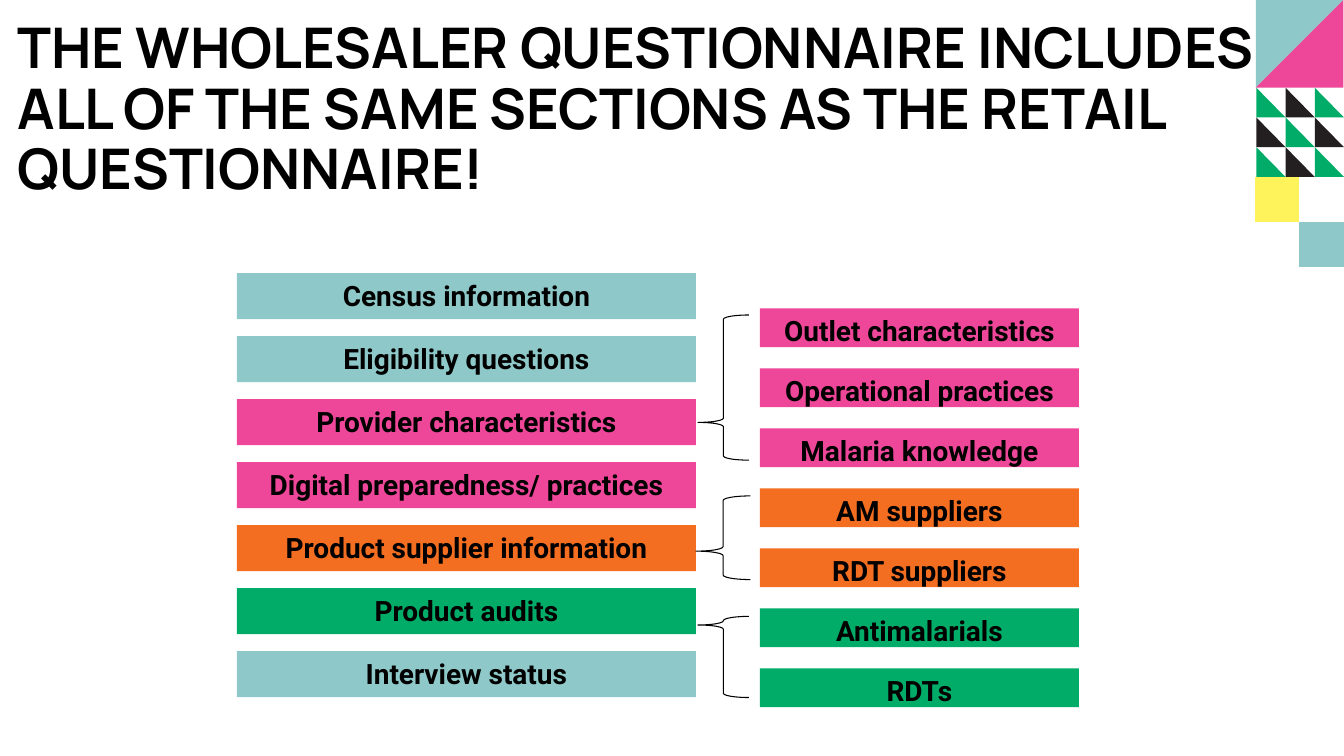
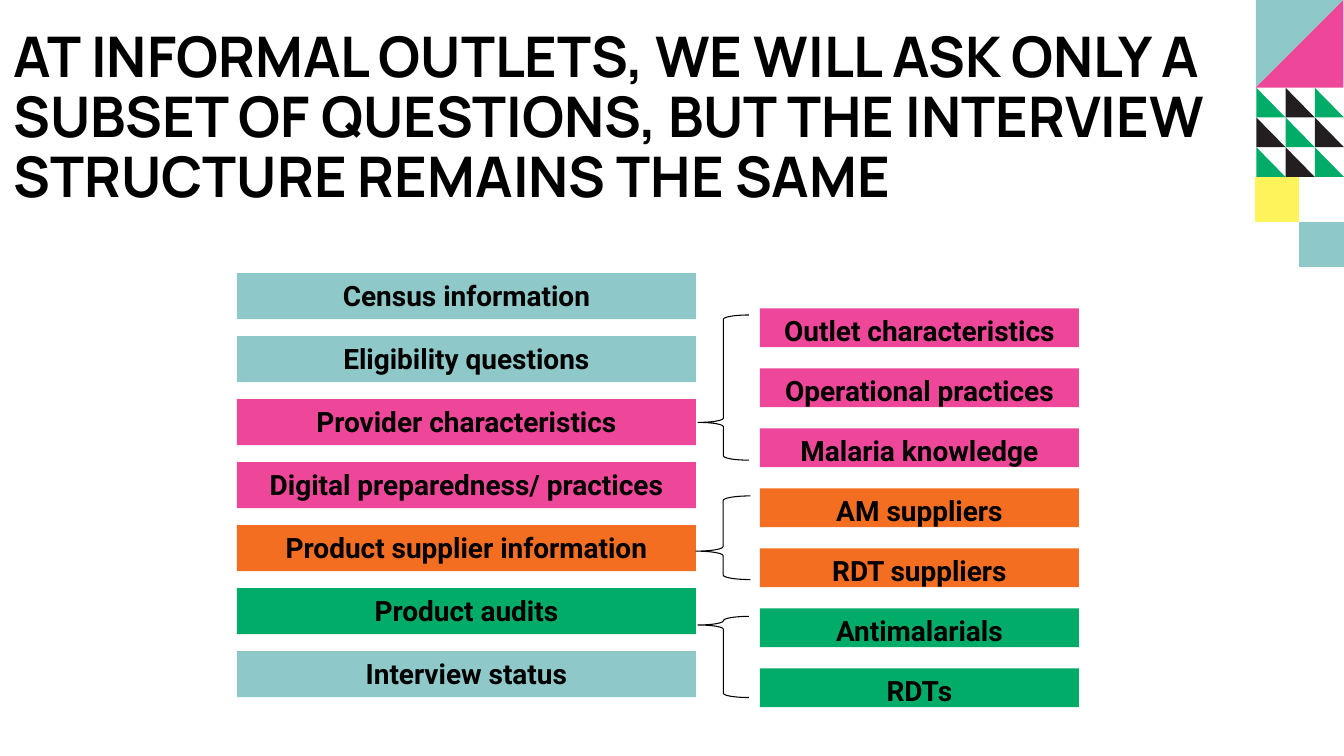
from pptx import Presentation
from pptx.dml.color import RGBColor
from pptx.enum.shapes import MSO_SHAPE as SHAPE
from pptx.enum.text import MSO_ANCHOR as ANCHOR, PP_ALIGN as ALIGN
from pptx.util import Inches, Pt

# Shared look
TEAL, PINK, ORANGE, GREEN = "8EC8C8", "EE4799", "F36E20", "00AC68"
YELLOW, DARK, BLACK = "FFF35C", "231F20", "000000"
TITLE_FONT, BODY_FONT = "Manrope", "Roboto"

# Interview structure, the same for every outlet type
SECTIONS = [
    ("Census information", TEAL),
    ("Eligibility questions", TEAL),
    ("Provider characteristics", PINK),
    ("Digital preparedness/ practices", PINK),
    ("Product supplier information", ORANGE),
    ("Product audits", GREEN),
    ("Interview status", TEAL),
]
SUBSECTIONS = [
    ("Outlet characteristics", PINK),
    ("Operational practices", PINK),
    ("Malaria knowledge", PINK),
    ("AM suppliers", ORANGE),
    ("RDT suppliers", ORANGE),
    ("Antimalarials", GREEN),
    ("RDTs", GREEN),
]
# left, top, width, height, position of the point
BRACES = [
    (13.85, 6.25, 1.01, 2.88, 0.74),
    (13.81, 9.84, 1.08, 1.66, 0.66),
    (13.85, 12.23, 1.01, 1.61, 0.106),
]
# Title text with its left, width and height
TITLES = [
    ("THE WHOLESALER QUESTIONNAIRE INCLUDES ALL OF THE SAME SECTIONS "
     "AS THE RETAIL QUESTIONNAIRE!", 0.25, 24.75, 4.96),
    ("AT INFORMAL OUTLETS, WE WILL ASK ONLY A SUBSET OF QUESTIONS, "
     "BUT THE INTERVIEW STRUCTURE REMAINS THE SAME", 0.17, 23.92, 5.12),
]


def rgb(color):
    return RGBColor.from_string(color)


def paint(sp, color):
    sp.shadow.inherit = False
    sp.fill.solid()
    sp.fill.fore_color.rgb = rgb(color)
    sp.line.fill.background()


def style(p, font, size):
    p.font.name = font
    p.font.size = Pt(size)
    p.font.bold = True
    p.font.color.rgb = rgb(BLACK)


def add_polygon(s, points, color):
    start, *rest = [(Inches(x), Inches(y)) for x, y in points]
    builder = s.shapes.build_freeform(*start)
    builder.add_line_segments(rest, close=True)
    paint(builder.convert_to_shape(), color)


def add_square(s, left, top, right, bottom, color):
    corners = [(left, bottom), (right, bottom), (right, top), (left, top)]
    add_polygon(s, corners, color)


def add_corner_pattern(s):
    # Two large triangles
    left, right, bottom = 24.92, 26.66, 1.74
    add_polygon(s, [(left, 0), (left, bottom), (right, 0)], TEAL)
    add_polygon(s, [(left, bottom), (right, bottom), (right, 0)], PINK)
    # Three by three small triangles in alternating colours
    for row in range(3):
        for col in range(3):
            x, y = 24.93 + 0.58 * col, 1.74 + 0.59 * row
            color = DARK if (row + col) % 2 else GREEN
            add_polygon(s, [(x, y + 0.59), (x + 0.58, y + 0.59), (x, y)], color)
    # Stepped squares
    add_square(s, 24.9, 3.51, 25.78, 4.41, YELLOW)
    add_square(s, 25.78, 4.41, 26.67, 5.3, TEAL)


def add_title(s, text, left, width, height):
    sp = s.shapes.add_textbox(Inches(left), Inches(0.33), Inches(width), Inches(height))
    tf = sp.text_frame
    tf.word_wrap = True
    tf.vertical_anchor = ANCHOR.BOTTOM
    tf.margin_bottom = Inches(1.3)
    p = tf.paragraphs[0]
    p.text = text
    p.line_spacing = Pt(86.4)
    style(p, TITLE_FONT, 80)


def add_column(s, items, left, top, width, height, pitch):
    for i, (text, color) in enumerate(items):
        sp = s.shapes.add_shape(SHAPE.RECTANGLE, Inches(left), Inches(top + i * pitch),
                                Inches(width), Inches(height))
        paint(sp, color)
        tf = sp.text_frame
        tf.word_wrap = True
        tf.vertical_anchor = ANCHOR.TOP
        tf.margin_left = tf.margin_right = Inches(0.2)
        tf.margin_top = tf.margin_bottom = Inches(0.1)
        p = tf.paragraphs[0]
        p.text = text
        p.alignment = ALIGN.CENTER
        style(p, BODY_FONT, 40)


def add_brace(s, left, top, width, height, point):
    sp = s.shapes.add_shape(SHAPE.LEFT_BRACE, Inches(left), Inches(top),
                            Inches(width), Inches(height))
    sp.shadow.inherit = False
    sp.fill.background()
    sp.line.color.rgb = rgb(BLACK)
    sp.line.width = Pt(1.5)
    sp.adjustments[0] = 0.083
    sp.adjustments[1] = point


def main():
    prs = Presentation()
    prs.slide_width, prs.slide_height = Inches(26.67), Inches(15)
    for title in TITLES:
        s = prs.slides.add_slide(prs.slide_layouts[6])
        add_corner_pattern(s)
        add_title(s, *title)
        add_column(s, SECTIONS, 4.7, 5.42, 9.11, 0.91, 1.25)
        add_column(s, SUBSECTIONS, 15.08, 6.12, 6.33, 0.77, 1.19)
        for brace in BRACES:
            add_brace(s, *brace)
    prs.save("out.pptx")


if __name__ == "__main__":
    main()
